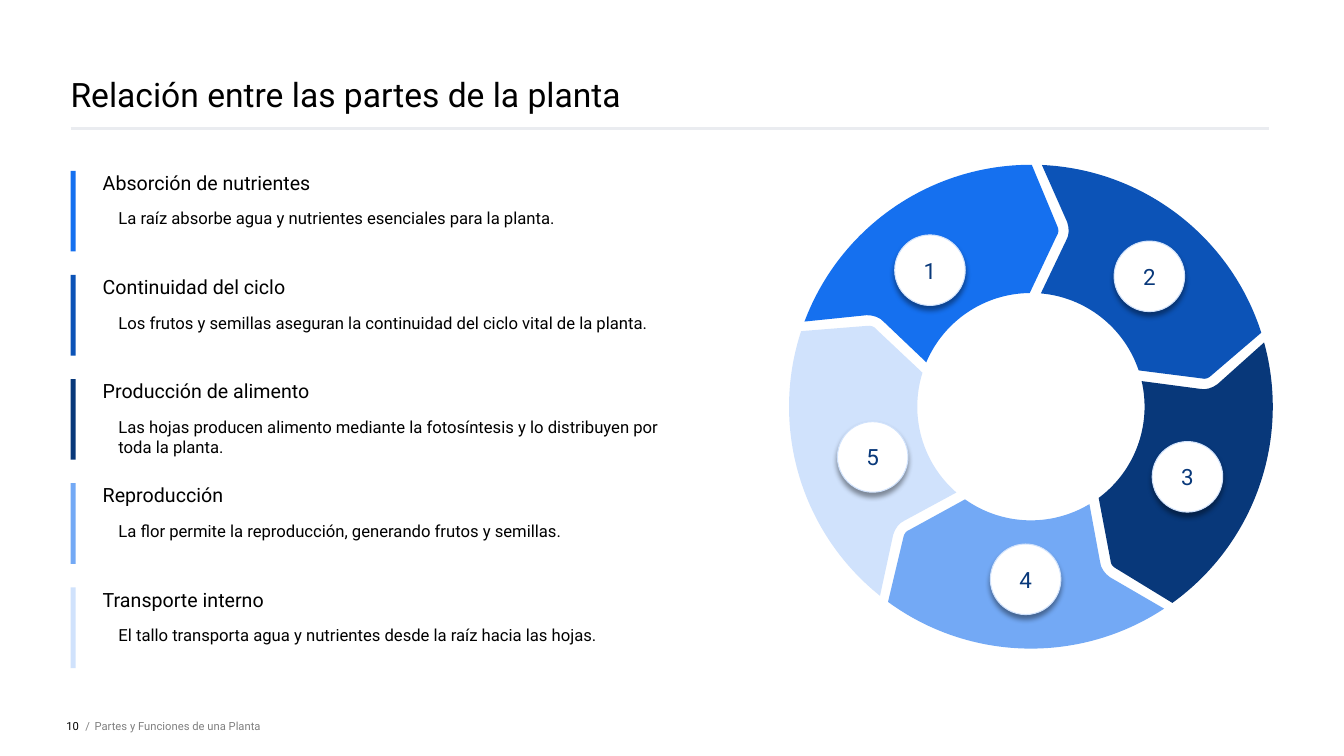
import math

from lxml import etree
from pptx import Presentation
from pptx.dml.color import RGBColor
from pptx.enum import shapes, text
from pptx.oxml.ns import qn
from pptx.util import Pt

TITLE = "Relación entre las partes de la planta"
PAGE, DECK = "10", "Partes y Funciones de una Planta"
# heading, detail, colour, centre of the numbered badge
STAGES = [
    ("Absorción de nutrientes",
     "La raíz absorbe agua y nutrientes esenciales para la planta.",
     "1570EF", (664.3, 193)),
    ("Continuidad del ciclo",
     "Los frutos y semillas aseguran la continuidad del ciclo vital de la planta.",
     "0C53B7", (821, 197.4)),
    ("Producción de alimento",
     "Las hojas producen alimento mediante la fotosíntesis y lo distribuyen por toda la planta.",
     "08387A", (848.2, 340.6)),
    ("Reproducción",
     "La flor permite la reproducción, generando frutos y semillas.",
     "73A9F5", (732.6, 413.8)),
    ("Transporte interno",
     "El tallo transporta agua y nutrientes desde la raíz hacia las hojas.",
     "D0E2FC", (623.4, 326.4)),
]
FONT, INK, GREY, NAVY = "Roboto", "000000", "808080", "08387A"
LEFT, TEXT_LEFT, TEXT_WIDTH = 50.4, 73.4, 412.6
ROW_TOP, ROW_PITCH, ROW_HEIGHT, BAR_WIDTH = 122, 74.4, 57.6, 3.6
RING_X, RING_Y, OUTER, INNER = 736.4, 290.5, 172.8, 81.2
BADGE = 50.4
# Rounded corners of a ring segment (Bezier points from the ring centre)
NOTCH = [(25.9, -131.8), (27.4, -127.4), (27.4, -122.4), (25.2, -118.8)]
TIP = [(121.7, -20.2), (124.6, -19.4), (126.7, -20.2), (128.9, -22.3)]


def color(hex_value):
    return RGBColor.from_string(hex_value)


def style(paragraph, size, hex_value):
    for run in paragraph.runs:
        run.font.name, run.font.size = FONT, Pt(size)
        run.font.color.rgb = color(hex_value)


def bare_frame(shape, anchor):
    frame = shape.text_frame
    frame.margin_left = frame.margin_top = frame.margin_right = frame.margin_bottom = 0
    frame.word_wrap = True
    frame.auto_size = text.MSO_AUTO_SIZE.NONE
    frame.vertical_anchor = anchor
    return frame


def paint(shape, hex_value):
    shape.shadow.inherit = False
    shape.fill.solid()
    shape.fill.fore_color.rgb = color(hex_value)
    shape.line.fill.background()


def arc(radius, start, end):
    """Bezier points of an arc, with angles in degrees clockwise from the top."""
    a, b = math.radians(start), math.radians(end)
    k = 4 / 3 * math.tan((b - a) / 4)
    (ax, ay), (bx, by) = [(radius * math.sin(t), -radius * math.cos(t)) for t in (a, b)]
    return [(ax, ay), (ax - k * ay, ay + k * ax), (bx + k * by, by - k * bx), (bx, by)]


def along(curve, steps=40):
    for i in range(steps + 1):
        t = i / steps
        weights = [(1 - t) ** 3, 3 * t * (1 - t) ** 2, 3 * t * t * (1 - t), t ** 3]
        yield tuple(round(sum(w * p[axis] for w, p in zip(weights, curve)))
                    for axis in (0, 1))


def add_segment(slide, turn, hex_value):
    """Straight edges joined by four true curves; sampling them gives the exact box."""
    c, s = math.cos(math.radians(turn)), math.sin(math.radians(turn))
    curves = [[(Pt(RING_X + x * c - y * s), Pt(RING_Y + x * s + y * c)) for x, y in curve]
              for curve in (NOTCH, arc(INNER, 5, 71.4), TIP, arc(OUTER, 72.2, 2.6))]
    sampled = [point for curve in curves for point in along(curve)]
    builder = slide.shapes.build_freeform(*sampled[0], scale=1.0)
    builder.add_line_segments(sampled[1:], close=True)
    segment = builder.convert_to_shape()
    outline = next(segment._element.iter(qn("a:path")))
    for step in list(outline):
        outline.remove(step)

    def draw(command, points):
        step = etree.SubElement(outline, qn("a:" + command))
        for x, y in points:
            etree.SubElement(step, qn("a:pt"), x=str(x - segment.left), y=str(y - segment.top))

    draw("moveTo", curves[-1][-1:])
    for curve in curves:
        draw("lnTo", curve[:1])
        draw("cubicBezTo", curve[1:])
    etree.SubElement(outline, qn("a:close"))
    paint(segment, hex_value)


def add_badge(slide, number, center):
    x, y = center
    badge = slide.shapes.add_shape(shapes.MSO_SHAPE.OVAL, Pt(x - BADGE / 2),
                                   Pt(y - BADGE / 2), Pt(BADGE), Pt(BADGE))
    paint(badge, "FFFFFF")
    badge.line.color.rgb = color("D0E2FC")
    badge.line.width = Pt(0.75)
    effects = badge._element.spPr.find(qn("a:effectLst"))
    shadow = etree.SubElement(effects, qn("a:outerShdw"), blurRad=str(Pt(3.8)),
                              dist=str(Pt(3)), dir="5400000", rotWithShape="0")
    black = etree.SubElement(shadow, qn("a:srgbClr"), val="000000")
    etree.SubElement(black, qn("a:alpha"), val="40000")
    frame = bare_frame(badge, text.MSO_ANCHOR.MIDDLE)
    frame.text = str(number)
    frame.paragraphs[0].alignment = text.PP_ALIGN.CENTER
    style(frame.paragraphs[0], 16, NAVY)


def add_row(slide, top, heading, detail, hex_value):
    bar = slide.shapes.add_shape(shapes.MSO_SHAPE.RECTANGLE, Pt(LEFT), Pt(top),
                                 Pt(BAR_WIDTH), Pt(ROW_HEIGHT))
    paint(bar, hex_value)
    box = slide.shapes.add_textbox(Pt(TEXT_LEFT), Pt(top), Pt(TEXT_WIDTH), Pt(ROW_HEIGHT))
    frame = bare_frame(box, text.MSO_ANCHOR.TOP)
    frame.text = heading
    style(frame.paragraphs[0], 14, INK)
    explanation = frame.add_paragraph()
    explanation.text = detail
    explanation.space_before = Pt(10)
    properties = explanation._p.get_or_add_pPr()
    properties.set("marL", str(Pt(11.25)))
    properties.set("indent", "0")
    style(explanation, 11.9, INK)


def add_header(slide):
    title = slide.shapes.title
    title.left, title.top, title.width, title.height = Pt(LEFT), 0, Pt(859), Pt(81.4)
    frame = bare_frame(title, text.MSO_ANCHOR.BOTTOM)
    frame.text = TITLE
    frame.paragraphs[0].alignment = text.PP_ALIGN.LEFT
    style(frame.paragraphs[0], 24, INK)
    rule = slide.shapes.add_connector(shapes.MSO_CONNECTOR.STRAIGHT, Pt(LEFT), Pt(91.7),
                                      Pt(906.5), Pt(91.7))
    rule.line.color.rgb = color("EAECF0")
    rule.line.width = Pt(2)
    etree.SubElement(rule._element.spPr, qn("a:effectLst"))


def add_footer(slide):
    left, right = text.PP_ALIGN.LEFT, text.PP_ALIGN.RIGHT
    for words, x, width, alignment, hex_value in [
            (PAGE, 33.8, 22.7, right, INK),
            ("/", 61, 6, left, GREY),
            (DECK, 67.6, 620, left, GREY)]:
        box = slide.shapes.add_textbox(Pt(x), Pt(496.8), Pt(width), Pt(43.2))
        frame = bare_frame(box, text.MSO_ANCHOR.MIDDLE)
        frame.text = words
        frame.paragraphs[0].alignment = alignment
        style(frame.paragraphs[0], 8, hex_value)


def main():
    deck = Presentation()
    deck.slide_width, deck.slide_height = Pt(960), Pt(540)
    slide = deck.slides.add_slide(deck.slide_layouts[5])
    add_header(slide)
    add_footer(slide)
    for i, (heading, detail, hex_value, center) in enumerate(STAGES):
        add_segment(slide, (i - 1) * 360 / len(STAGES), hex_value)
        add_row(slide, ROW_TOP + i * ROW_PITCH, heading, detail, hex_value)
        add_badge(slide, i + 1, center)
    deck.save("out.pptx")


if __name__ == "__main__":
    main()
